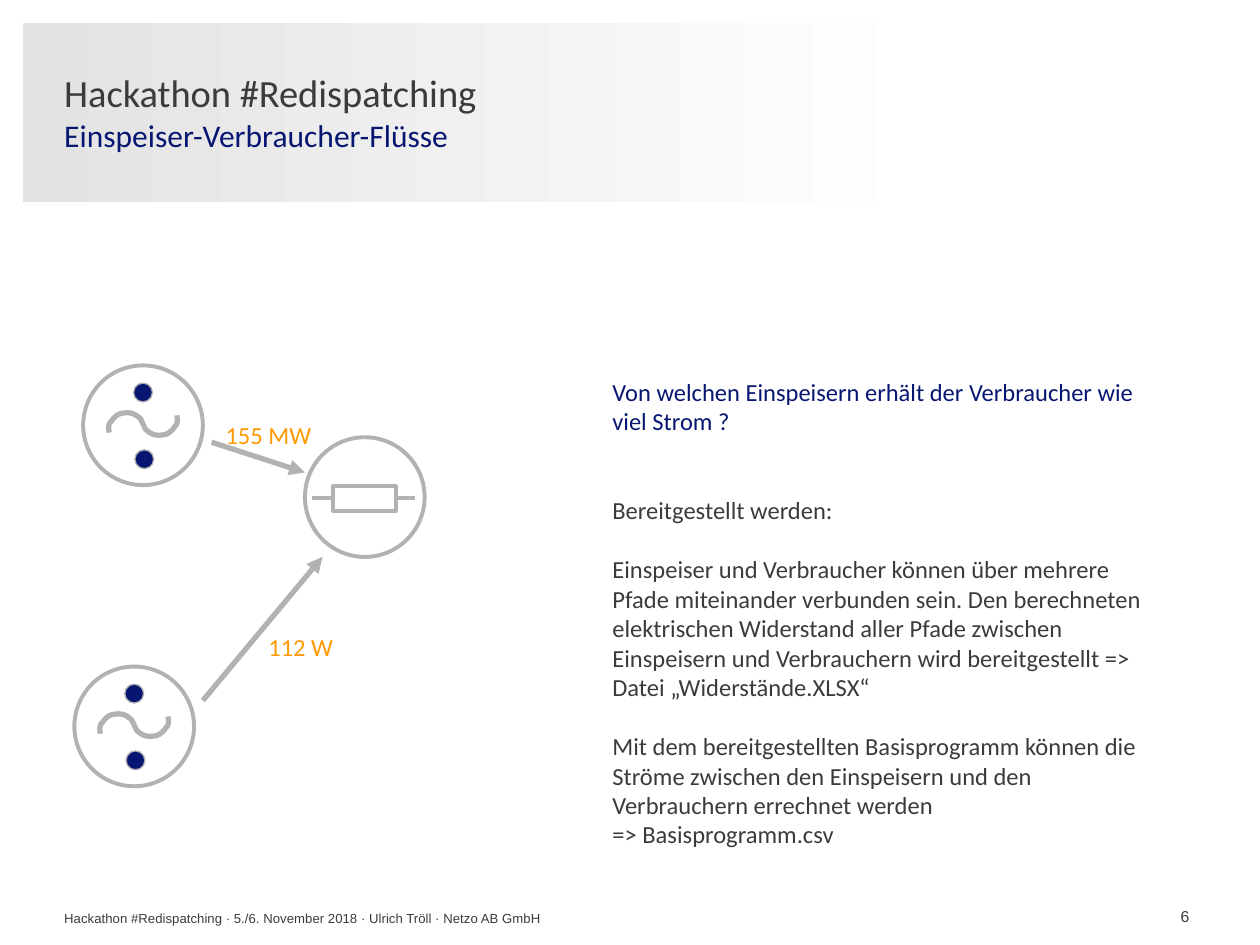
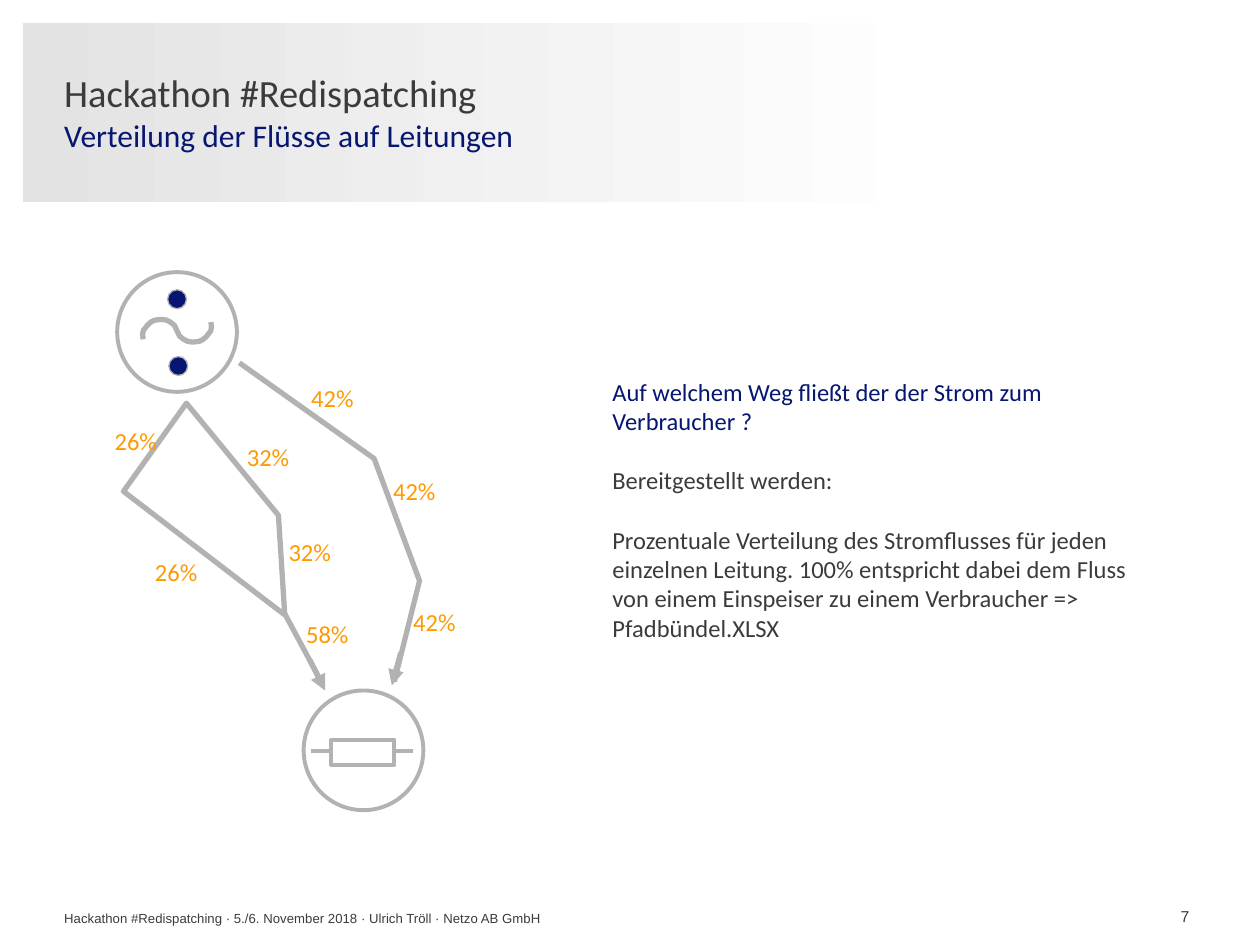
"""Builds two slides on power flows between feeders and consumers."""
from lxml import etree
from pptx import Presentation
from pptx.dml.color import RGBColor
from pptx.enum.shapes import MSO_CONNECTOR, MSO_SHAPE
from pptx.enum.text import MSO_ANCHOR, MSO_AUTO_SIZE, PP_ALIGN
from pptx.oxml.ns import qn
from pptx.util import Inches, Pt

RECT, OVAL, LINE = MSO_SHAPE.RECTANGLE, MSO_SHAPE.OVAL, MSO_CONNECTOR.STRAIGHT
LEFT, RIGHT = PP_ALIGN.LEFT, PP_ALIGN.RIGHT
TOP, MIDDLE, BOTTOM = MSO_ANCHOR.TOP, MSO_ANCHOR.MIDDLE, MSO_ANCHOR.BOTTOM


class Theme:
    ink = RGBColor.from_string("3B3B3B")
    navy = RGBColor.from_string("061671")
    gray = RGBColor.from_string("B2B2B2")
    pale = RGBColor.from_string("E3E3E3")
    white = RGBColor.from_string("FFFFFF")
    amber = RGBColor.from_string("FF9900")
    font, small = "Calibri", "Arial"
    head, sub, body, page, foot = Pt(22), Pt(18), Pt(14), Pt(9), Pt(7.5)
    gap = 17
    thin, ring, bold = Pt(0.75), Pt(2.25), Pt(3)


def paint(shape, weight, fill=None, arrow=False):
    """Style a shape or a connector with a gray line."""
    shape.line.color.rgb = Theme.gray
    shape.line.width = weight
    props = shape.element.spPr
    if arrow:
        etree.SubElement(props.find(qn("a:ln")), qn("a:tailEnd"), type="triangle")
    if hasattr(shape, "fill"):
        shape.shadow.inherit = False
        if fill is None:
            shape.fill.background()
        else:
            shape.fill.solid()
            shape.fill.fore_color.rgb = fill
    else:
        etree.SubElement(props, qn("a:effectLst"))


def fit(shape, box, anchor, wrap=True):
    """Place a text shape without margins and return its frame."""
    shape.left, shape.top, shape.width, shape.height = map(Inches, box)
    frame = shape.text_frame
    frame.margin_left = frame.margin_top = frame.margin_right = frame.margin_bottom = 0
    frame.auto_size = MSO_AUTO_SIZE.NONE
    frame.word_wrap = wrap
    frame.vertical_anchor = anchor
    return frame


HEAD = "Hackathon #Redispatching"
FOOT = "Hackathon #Redispatching · 5./6. November 2018 · Ulrich Tröll · Netzo AB GmbH"
HALF = [(0, 0.14), (0, 0.1), (0.01, 0.07), (0.03, 0.05), (0.05, 0.03), (0.08, 0.01),
        (0.11, 0), (0.16, 0), (0.2, 0.01), (0.23, 0.03), (0.26, 0.06)]
WAVE = HALF + [(0.55 - x, 0.21 - y) for x, y in reversed(HALF)]

slides = [
    dict(
        page="6",
        sub="Einspeiser-Verbraucher-Flüsse",
        text=[
            ("Von welchen Einspeisern erhält der Verbraucher wie viel Strom ?", 2),
            ("Bereitgestellt werden:", 1),
            ("Einspeiser und Verbraucher können über mehrere Pfade miteinander verbunden "
             "sein. Den berechneten elektrischen Widerstand aller Pfade zwischen "
             "Einspeisern und Verbrauchern wird bereitgestellt => Datei „Widerstände.XLSX“", 1),
            ("Mit dem bereitgestellten Basisprogramm können die Ströme zwischen den "
             "Einspeisern und den Verbrauchern errechnet werden \n=> Basisprogramm.csv", 0),
        ],
        paths=[],
        arrows=[(1.68, 3.51, 2.42, 3.75), (1.61, 5.56, 2.56, 4.42)],
        feeds=[(0.66, 2.9), (0.59, 5.29)],
        load=(2.42, 3.47),
        tags=[("155 MW", 1.79, 3.33, 0.68), ("112 W", 2.13, 5.02, 0.52)],
    ),
    dict(
        page="7",
        sub="Verteilung der Flüsse auf Leitungen",
        text=[
            ("Auf welchem Weg fließt der der Strom zum Verbraucher ?", 1),
            ("Bereitgestellt werden:", 1),
            ("Prozentuale Verteilung des Stromflusses für jeden einzelnen Leitung. 100% "
             "entspricht dabei dem Fluss von einem Einspeiser zu einem Verbraucher => "
             "Pfadbündel.XLSX", 0),
        ],
        paths=[
            ([(1.48, 3.2), (0.98, 3.9), (2.26, 4.88), (2.21, 4.09)], True, 0),
            ([(1.9, 2.88), (2.97, 3.64), (3.33, 4.61), (3.13, 5.41)], False, 0),
            ([(2.26, 4.87), (2.56, 5.43)], False, 0),
        ],
        arrows=[(3.18, 5.18, 3.11, 5.44), (2.46, 5.24, 2.58, 5.48)],
        feeds=[(0.93, 2.16)],
        load=(2.41, 5.48),
        tags=[
            ("42%", 3.12, 3.78, 0.37), ("42%", 2.47, 3.04, 0.37),
            ("42%", 3.28, 4.82, 0.37), ("32%", 2.29, 4.26, 0.37),
            ("58%", 2.43, 4.91, 0.37), ("32%", 1.96, 3.51, 0.37),
            ("26%", 1.23, 4.42, 0.37), ("26%", 0.91, 3.38, 0.37),
        ],
    ),
]

prs = Presentation()
prs.slide_width, prs.slide_height = Inches(10), Inches(7.5)

for data in slides:
    slide = prs.slides.add_slide(prs.slide_layouts[1])
    shapes = slide.shapes
    title, body = shapes.title, slide.placeholders[1]

    band = shapes.add_shape(RECT, *map(Inches, (0.18, 0.18, 7.3, 1.42)))
    band.shadow.inherit = False
    band.line.fill.background()
    band.fill.gradient()
    band.fill.gradient_angle = 0
    for stop, color in zip(band.fill.gradient_stops, (Theme.pale, Theme.white)):
        stop.color.rgb = color
    title.element.addprevious(band.element)

    para = fit(title, (0.51, 0.55, 6.97, 0.67), MIDDLE).paragraphs[0]
    para.alignment = LEFT
    para.font.name = Theme.font
    top = para.add_run()
    para.add_line_break()
    low = para.add_run()
    for run, words, size, color in ((top, HEAD, Theme.head, Theme.ink),
                                    (low, data["sub"], Theme.sub, Theme.navy)):
        run.text = words
        run.font.size = size
        run.font.color.rgb = color

    frame = fit(body, (4.86, 2.99, 4.37, 3.77), TOP)
    for i, (words, lines) in enumerate(data["text"]):
        para = frame.add_paragraph() if i else frame.paragraphs[0]
        para.text = words
        para.font.name, para.font.size = Theme.font, Theme.body
        para.font.color.rgb = Theme.ink if i else Theme.navy
        para.space_before, para.space_after = Pt(0), Pt(Theme.gap * lines)
        props = para._p.get_or_add_pPr()
        props.set("marL", "0")
        props.set("indent", "0")
        etree.SubElement(props, qn("a:buNone"))
        props.append(props.find(qn("a:defRPr")))

    for x, y in data["feeds"] + [data["load"]]:
        ring = shapes.add_shape(OVAL, *map(Inches, (x, y, 0.95, 0.95)))
        paint(ring, Theme.ring, Theme.white)

    for x, y in data["feeds"]:
        for dx, dy in ((0.4, 0.14), (0.41, 0.67)):
            dot = shapes.add_shape(OVAL, *map(Inches, (x + dx, y + dy, 0.15, 0.15)))
            paint(dot, Theme.thin, Theme.navy)

    waves = [([(x + 0.2 + dx, y + 0.36 + dy) for dx, dy in WAVE], False, -7)
             for x, y in data["feeds"]]
    for points, closed, turn in data["paths"] + waves:
        spots = [(Inches(x), Inches(y)) for x, y in points]
        pen = shapes.build_freeform(*spots[0])
        pen.add_line_segments(spots[1:], close=closed)
        trace = pen.convert_to_shape()
        trace.rotation = turn
        paint(trace, Theme.bold)

    for ends in data["arrows"]:
        paint(shapes.add_connector(LINE, *map(Inches, ends)), Theme.bold, arrow=True)

    x, y = data["load"]
    wire = shapes.add_connector(LINE, *map(Inches, (x + 0.06, y + 0.48, x + 0.87, y + 0.48)))
    paint(wire, Theme.ring)
    coil = shapes.add_shape(RECT, *map(Inches, (x + 0.22, y + 0.39, 0.5, 0.2)))
    paint(coil, Theme.ring, Theme.white)

    labels = [(words, (x, y, w, 0.24), Theme.font, Theme.body, Theme.amber, LEFT, TOP, False)
              for words, x, y, w in data["tags"]]
    labels += [
        (data["page"], (9.1, 7.15, 0.34, 0.2), Theme.small, Theme.page, Theme.ink,
         RIGHT, BOTTOM, True),
        (FOOT, (0.51, 7.22, 8.27, 0.13), Theme.small, Theme.foot, Theme.ink,
         LEFT, BOTTOM, True),
    ]
    for words, box, font, size, color, align, anchor, wrap in labels:
        label = shapes.add_textbox(0, 0, 0, 0)
        para = fit(label, box, anchor, wrap).paragraphs[0]
        para.text = words
        para.alignment = align
        para.font.name, para.font.size = font, size
        para.font.color.rgb = color

prs.save("out.pptx")
